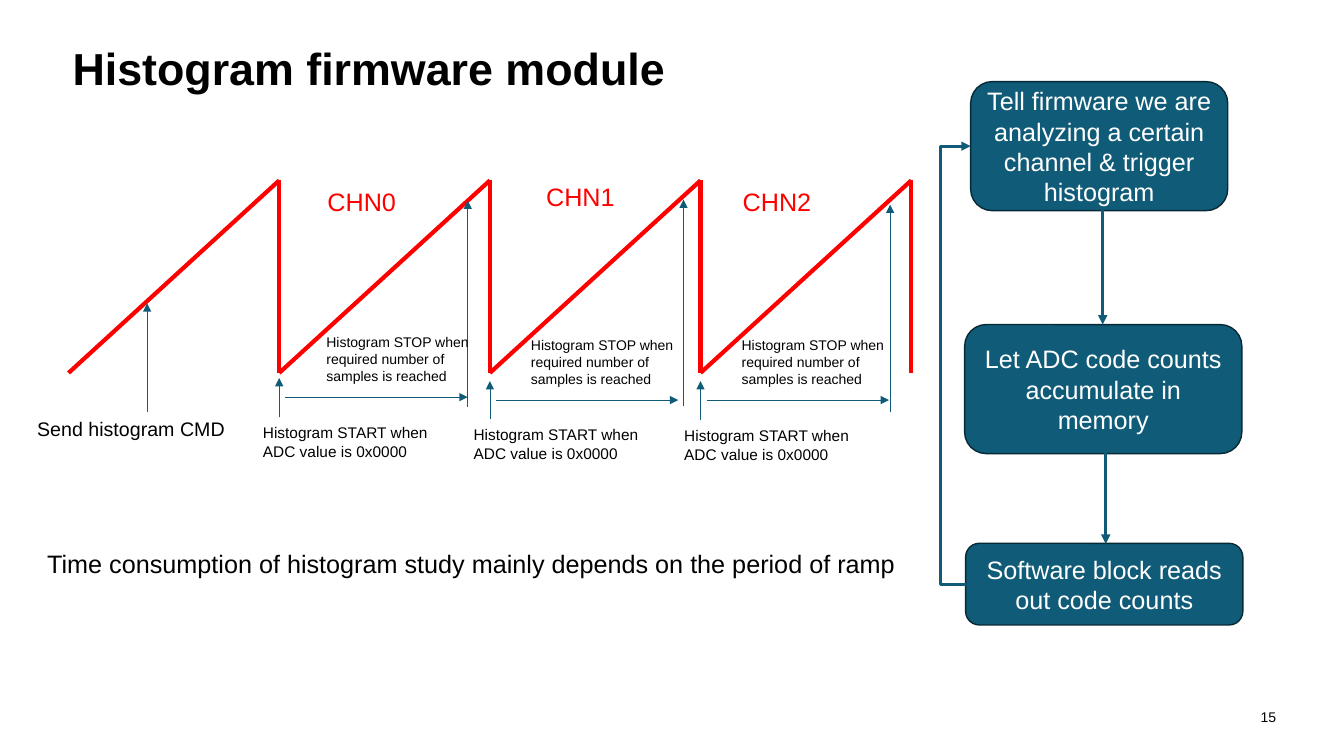
from dataclasses import dataclass

from lxml import etree
from pptx import Presentation
from pptx.dml.color import RGBColor
from pptx.enum.shapes import MSO_CONNECTOR, MSO_SHAPE
from pptx.enum.text import MSO_ANCHOR, MSO_AUTO_SIZE, PP_ALIGN
from pptx.oxml.ns import qn
from pptx.shapes.connector import Connector
from pptx.slide import Slide
from pptx.text.text import TextFrame
from pptx.util import Pt

STRAIGHT, ELBOW = MSO_CONNECTOR.STRAIGHT, MSO_CONNECTOR.ELBOW
ROUNDED = MSO_SHAPE.ROUNDED_RECTANGLE
TOP, MIDDLE = MSO_ANCHOR.TOP, MSO_ANCHOR.MIDDLE
LEFT, CENTER, RIGHT = PP_ALIGN.LEFT, PP_ALIGN.CENTER, PP_ALIGN.RIGHT
GROW, FIXED = MSO_AUTO_SIZE.SHAPE_TO_FIT_TEXT, MSO_AUTO_SIZE.NONE

FONT = "Arial"
BLACK, WHITE, RED = "000000", "FFFFFF", "FF0000"
TEAL, DARK_TEAL = "105C78", "072835"

RAMP_LEFT, RAMP_PITCH, RAMP_COUNT = 48.96, 150.48, 4
RAMP_TOP, RAMP_BOTTOM = 128.9, 266.4
START_TEXT = "Histogram START when ADC value is 0x0000"
STOP_TEXT = "Histogram STOP when required number of samples is reached"


@dataclass
class Label:
    text: str
    left: float
    top: float
    width: float
    height: float
    size: float
    color: str = BLACK
    wrap: bool = True


@dataclass
class Step:
    text: str
    left: float
    top: float
    width: float
    height: float


@dataclass
class Line:
    x1: float
    y1: float
    x2: float
    y2: float
    color: str = TEAL
    weight: float = 0.5
    arrow: bool = True


@dataclass
class Channel:
    name: str
    name_left: float
    name_top: float
    start_tip: float
    start_tail: float
    span_y: float
    stop_x: float
    stop_tip: float
    stop_tail: float
    note_left: float
    note_top: float
    note_width: float


STEPS = [
    Step("Tell firmware we are analyzing a certain channel & trigger histogram",
         693.36, 58.32, 183.6, 92.16),
    Step("Let ADC code counts accumulate in memory", 689.04, 231.84, 198, 92.16),
    Step("Software block reads out code counts", 689.76, 388.08, 198, 58.32),
]
STEP_ARROWS = [
    Line(787.68, 150, 787.68, 231.84, weight=2.25),
    Line(789.84, 318.24, 789.84, 388.5, weight=2.25),
]
RETURN_ARROW = Line(689.76, 417.6, 693.36, 104.4, weight=2.25)
RETURN_X = 671.8

CHANNELS = [
    Channel("CHN0", 226.8, 129.6, 270, 298.1, 283.7, 334.1, 143.3, 290.9, 226.1, 234.7, 115.9),
    Channel("CHN1", 383, 126, 272.2, 299.5, 285.8, 488.2, 142.6, 290.2, 372.2, 236.9, 135.4),
    Channel("CHN2", 523.4, 129.6, 272.2, 300.2, 285.8, 635.8, 146.2, 294.5, 522.7, 236.9, 116.6),
]
COMMAND_LABEL = Label("Send histogram CMD", 19.44, 294.5, 169.2, 24.5, 14)
COMMAND_ARROW = Line(105.1, 294.5, 105.1, 216.7)
CONCLUSION = Label(
    "Time consumption of histogram study mainly depends on the period of ramp",
    26.64, 388.1, 630.7, 28.8, 18, wrap=False)
PAGE_NUMBER = Label("15", 881.3, 497.5, 33.8, 28.8, 10)


def rgb(color: str) -> RGBColor:
    return RGBColor.from_string(color)


def write(frame: TextFrame, text: str, size: float, color: str,
          align: PP_ALIGN = LEFT, anchor: MSO_ANCHOR = TOP, bold: bool = False) -> None:
    frame.text = text
    frame.vertical_anchor = anchor
    para = frame.paragraphs[0]
    para.alignment = align
    font = para.runs[0].font
    font.name, font.size, font.bold = FONT, Pt(size), bold
    font.color.rgb = rgb(color)


def add_label(page: Slide, label: Label) -> TextFrame:
    box = page.shapes.add_textbox(
        Pt(label.left), Pt(label.top), Pt(label.width), Pt(label.height))
    frame = box.text_frame
    frame.word_wrap = label.wrap
    frame.auto_size = GROW
    write(frame, label.text, label.size, label.color)
    return frame


def add_line(page: Slide, line: Line, kind: MSO_CONNECTOR = STRAIGHT) -> Connector:
    connector = page.shapes.add_connector(
        kind, Pt(line.x1), Pt(line.y1), Pt(line.x2), Pt(line.y2))
    connector.line.color.rgb = rgb(line.color)
    connector.line.width = Pt(line.weight)
    properties = connector.element.spPr
    if line.arrow:
        etree.SubElement(properties.find(qn("a:ln")), qn("a:tailEnd"), type="triangle")
    etree.SubElement(properties, qn("a:effectLst"))
    return connector


def add_return_arrow(page: Slide) -> None:
    connector = add_line(page, RETURN_ARROW, ELBOW)
    ratio = (RETURN_X - RETURN_ARROW.x1) / (RETURN_ARROW.x2 - RETURN_ARROW.x1)
    guides = connector.element.spPr.find(qn("a:prstGeom")).find(qn("a:avLst"))
    etree.SubElement(guides, qn("a:gd"), name="adj1", fmla=f"val {round(ratio * 100000)}")


def add_step(page: Slide, step: Step) -> None:
    box = page.shapes.add_shape(
        ROUNDED, Pt(step.left), Pt(step.top), Pt(step.width), Pt(step.height))
    box.shadow.inherit = False
    box.fill.solid()
    box.fill.fore_color.rgb = rgb(TEAL)
    box.line.color.rgb = rgb(DARK_TEAL)
    box.line.width = Pt(1)
    box.text_frame.word_wrap = True
    write(box.text_frame, step.text, 18, WHITE, CENTER, MIDDLE)


def add_ramps(page: Slide) -> None:
    for index in range(RAMP_COUNT):
        left = RAMP_LEFT + index * RAMP_PITCH
        peak = left + RAMP_PITCH
        for foot in (left, peak):
            add_line(page, Line(foot, RAMP_BOTTOM, peak, RAMP_TOP, RED, 3, False))


def add_channel(page: Slide, channel: Channel, valley: float) -> None:
    add_line(page, Line(valley, channel.start_tail, valley, channel.start_tip))
    add_line(page, Line(channel.stop_x, channel.stop_tail, channel.stop_x, channel.stop_tip))
    add_line(page, Line(valley + 4.3, channel.span_y, valley + 134.6, channel.span_y))
    add_label(page, Label(
        START_TEXT, valley - 18.7, channel.start_tail + 0.7, 133.9, 33.8, 11))
    add_label(page, Label(
        STOP_TEXT, channel.note_left, channel.note_top, channel.note_width, 43.9, 10))
    add_label(page, Label(
        channel.name, channel.name_left, channel.name_top, 64.1, 28.8, 18, RED, False))


def add_title(page: Slide) -> None:
    title = page.shapes.title
    title.left, title.top, title.width, title.height = Pt(44.6), Pt(28.8), Pt(869.8), Pt(43.9)
    title.text_frame.auto_size = FIXED
    write(title.text_frame, "Histogram firmware module", 32, BLACK, LEFT, MIDDLE, True)
    title.text_frame.paragraphs[0].line_spacing = 0.9


def add_page_number(page: Slide) -> None:
    frame = add_label(page, PAGE_NUMBER)
    frame.auto_size = FIXED
    frame.margin_left = frame.margin_top = frame.margin_bottom = 0
    frame.margin_right = Pt(3.6)
    frame.vertical_anchor = MIDDLE
    frame.paragraphs[0].alignment = RIGHT


def main() -> None:
    deck = Presentation()
    deck.slide_width, deck.slide_height = Pt(960), Pt(540)
    page = deck.slides.add_slide(deck.slide_layouts.get_by_name("Title Only"))
    add_title(page)
    add_page_number(page)
    for step in STEPS:
        add_step(page, step)
    for arrow in STEP_ARROWS:
        add_line(page, arrow)
    add_return_arrow(page)
    add_ramps(page)
    add_line(page, COMMAND_ARROW)
    add_label(page, COMMAND_LABEL)
    for index, channel in enumerate(CHANNELS, start=1):
        add_channel(page, channel, RAMP_LEFT + index * RAMP_PITCH)
    add_label(page, CONCLUSION)
    deck.save("out.pptx")


if __name__ == "__main__":
    main()
